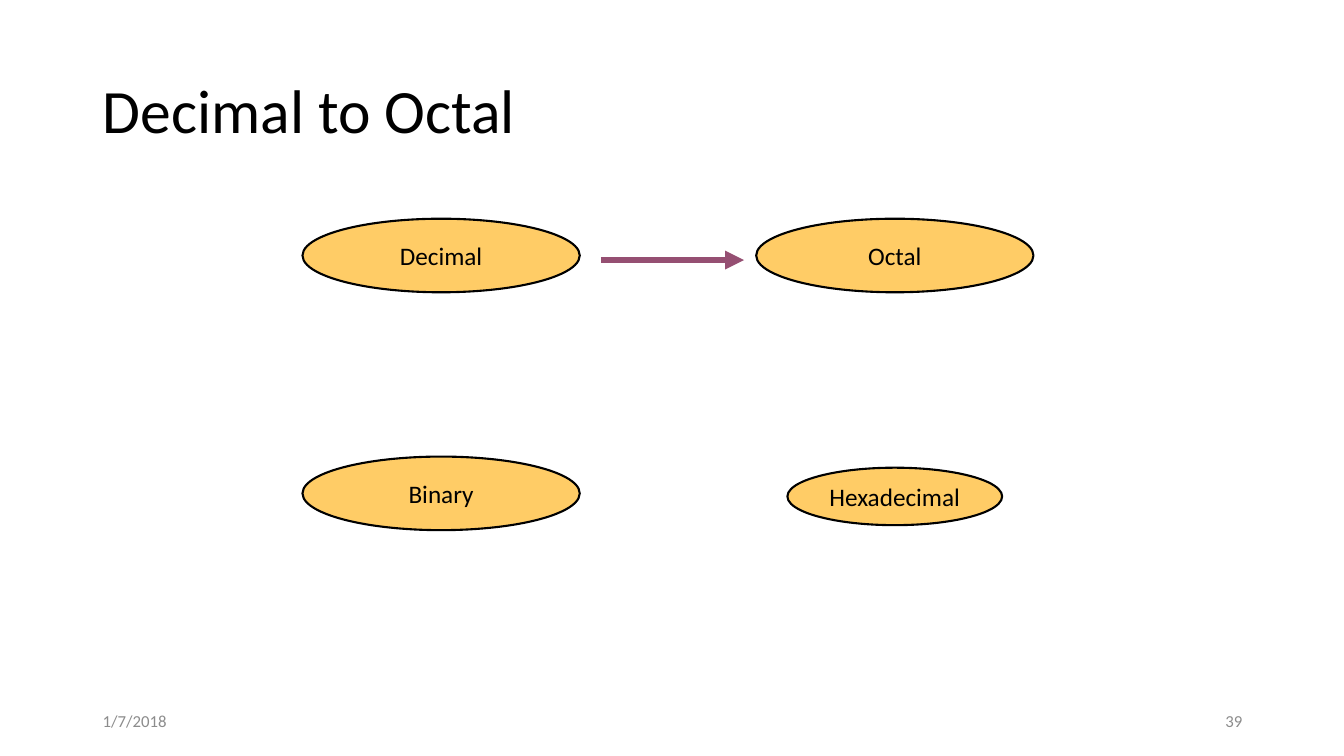
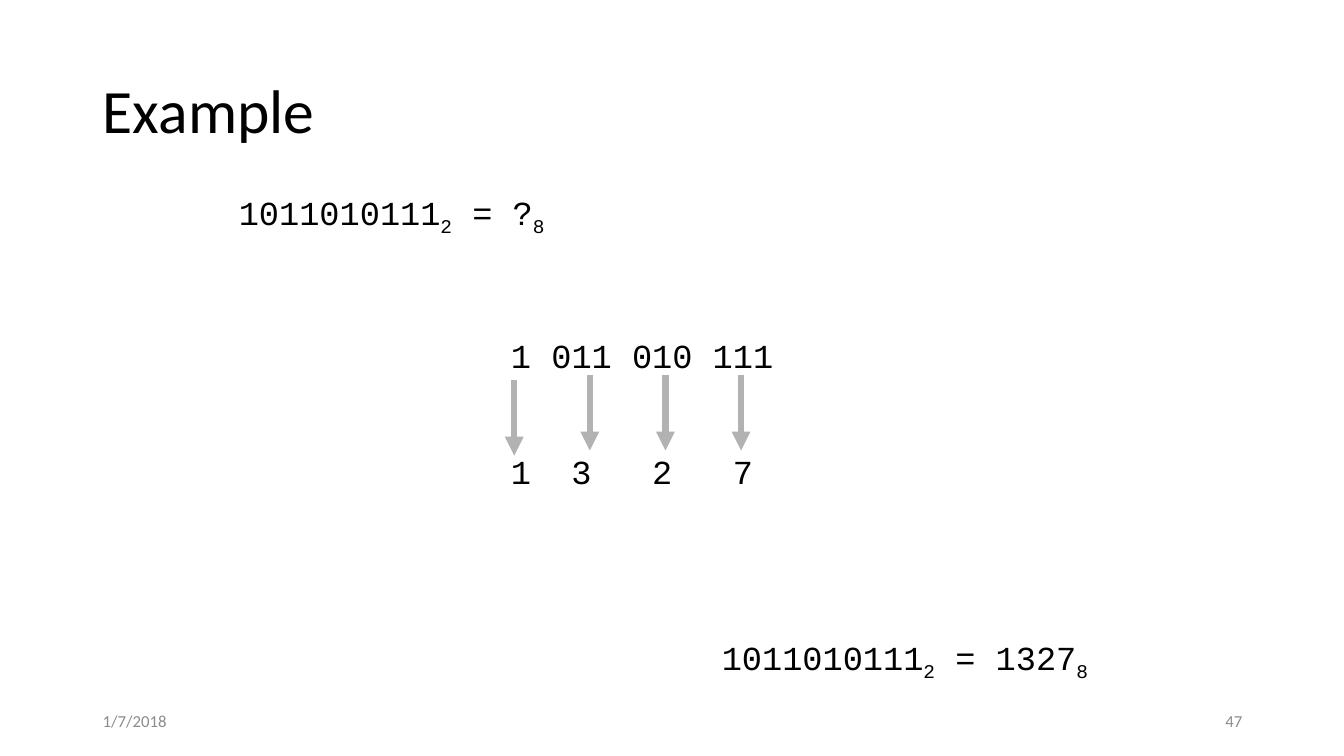
from lxml.etree import SubElement
from pptx import Presentation
from pptx.dml.color import RGBColor
from pptx.enum.shapes import MSO_CONNECTOR, MSO_SHAPE
from pptx.enum.text import MSO_ANCHOR, PP_ALIGN
from pptx.oxml.ns import qn
from pptx.util import Inches, Pt

BLACK = RGBColor(0x00, 0x00, 0x00)
AMBER = RGBColor(0xFF, 0xCC, 0x66)
PLUM = RGBColor(0x95, 0x4F, 0x72)
SILVER = RGBColor(0xB2, 0xB2, 0xB2)
FOOTER_GRAY = RGBColor(0x8C, 0x8C, 0x8C)
BODY_FONT = "Calibri"
CODE_FONT = "Courier New"

DATE = "1/7/2018"
FOOTER_TOP, FOOTER_WIDTH, FOOTER_HEIGHT = 6.95, 3, 0.4
MARGIN, CONTENT_WIDTH = 0.92, 11.5

BASES_TITLE, BASES_PAGE = "Decimal to Octal", "39"
BASES = [
    ("Decimal", (3, 2.17, 2.75, 0.73)),
    ("Octal", (7.5, 2.17, 2.75, 0.73)),
    ("Binary", (3, 4.53, 2.75, 0.73)),
    ("Hexadecimal", (7.81, 4.64, 2.13, 0.57)),
]
CONVERSION = ((5.96, 2.58), (7.38, 2.58))

EXAMPLE_TITLE, EXAMPLE_PAGE = "Example", "47"
EQUATIONS = [
    ([("1011010111", "2"), (" = ?", "8")], (1.55, 1.85, 4.67, 0.5), PP_ALIGN.CENTER),
    ([("1011010111", "2"), (" = 1327", "8")], (6.22, 6.27, 4.67, 0.5), PP_ALIGN.RIGHT),
]
BIT_GROUPS = ["1", "011", "010", "111"]
OCTAL_DIGITS = ["1", "3", "2", "7"]
DIGIT_COLUMNS = [3, 7, 11]
CHARACTER_WIDTH = 0.2
DIGIT_GAP = 54
GROUPING_BOX = (4.97, 3.27, 4.67, 1.7)
ARROW_LEFT, ARROW_STEP, ARROW_LENGTH = 5.1, 0.75, 0.75
ARROW_TOPS = [3.77, 3.72, 3.72, 3.72]


def style(paragraph, size, font=BODY_FONT, color=BLACK, align=PP_ALIGN.LEFT):
    paragraph.alignment = align
    paragraph.font.size = Pt(size)
    paragraph.font.name = font
    paragraph.font.color.rgb = color


def add_text_frame(slide, box, anchor=MSO_ANCHOR.TOP):
    frame = slide.shapes.add_textbox(*map(Inches, box)).text_frame
    frame.word_wrap = True
    frame.vertical_anchor = anchor
    return frame


def add_footer(slide, text, left, align):
    box = (left, FOOTER_TOP, FOOTER_WIDTH, FOOTER_HEIGHT)
    frame = add_text_frame(slide, box, MSO_ANCHOR.MIDDLE)
    frame.text = text
    style(frame.paragraphs[0], 12, color=FOOTER_GRAY, align=align)


def add_titled_slide(deck, title_text, page):
    slide = deck.slides.add_slide(deck.slide_layouts[5])
    title = slide.shapes.title
    title.left, title.top = Inches(MARGIN), Inches(0.4)
    title.width, title.height = Inches(CONTENT_WIDTH), Inches(1.45)
    title.text_frame.text = title_text
    title.text_frame.vertical_anchor = MSO_ANCHOR.MIDDLE
    heading = title.text_frame.paragraphs[0]
    heading.line_spacing = 0.9
    style(heading, 44)
    add_footer(slide, DATE, MARGIN, PP_ALIGN.LEFT)
    page_left = MARGIN + CONTENT_WIDTH - FOOTER_WIDTH
    add_footer(slide, page, page_left, PP_ALIGN.RIGHT)
    return slide


def add_arrow(slide, start, end, color):
    arrow = slide.shapes.add_connector(
        MSO_CONNECTOR.STRAIGHT, *map(Inches, (*start, *end)))
    arrow.line.color.rgb = color
    arrow.line.width = Pt(4.5)
    SubElement(arrow.line._get_or_add_ln(), qn("a:tailEnd"), type="triangle")
    SubElement(arrow._element.spPr, qn("a:effectLst"))


def add_base(slide, label, box):
    oval = slide.shapes.add_shape(MSO_SHAPE.OVAL, *map(Inches, box))
    oval.shadow.inherit = False
    oval.fill.solid()
    oval.fill.fore_color.rgb = AMBER
    oval.line.color.rgb = BLACK
    oval.line.width = Pt(1.5)
    frame = oval.text_frame
    frame.word_wrap = False
    frame.vertical_anchor = MSO_ANCHOR.MIDDLE
    frame.text = label
    style(frame.paragraphs[0], 18, align=PP_ALIGN.CENTER)


def add_equation(slide, terms, box, align):
    paragraph = add_text_frame(slide, box).paragraphs[0]
    for number, base in terms:
        paragraph.add_run().text = number
        subscript = paragraph.add_run()
        subscript.text = base
        subscript._r.get_or_add_rPr().set("baseline", "-25000")
    style(paragraph, 24, CODE_FONT, align=align)


def add_grouping(slide):
    frame = add_text_frame(slide, GROUPING_BOX)
    bits = frame.paragraphs[0]
    bits.text = " ".join(BIT_GROUPS)
    digits = frame.add_paragraph()
    digits.text = "\t".join(OCTAL_DIGITS)
    digits.space_before = Pt(DIGIT_GAP)
    tabs = SubElement(digits._p.get_or_add_pPr(), qn("a:tabLst"))
    for column in DIGIT_COLUMNS:
        position = Inches(column * CHARACTER_WIDTH)
        SubElement(tabs, qn("a:tab"), pos=str(position), algn="l")
    for row in (bits, digits):
        style(row, 24, CODE_FONT)
    for index, top in enumerate(ARROW_TOPS):
        x = ARROW_LEFT + index * ARROW_STEP
        add_arrow(slide, (x, top), (x, top + ARROW_LENGTH), SILVER)


def main():
    deck = Presentation()
    deck.slide_width, deck.slide_height = Inches(13.33), Inches(7.5)

    bases_slide = add_titled_slide(deck, BASES_TITLE, BASES_PAGE)
    for label, box in BASES:
        add_base(bases_slide, label, box)
    add_arrow(bases_slide, *CONVERSION, PLUM)

    example_slide = add_titled_slide(deck, EXAMPLE_TITLE, EXAMPLE_PAGE)
    for terms, box, align in EQUATIONS:
        add_equation(example_slide, terms, box, align)
    add_grouping(example_slide)

    deck.save("out.pptx")


if __name__ == "__main__":
    main()
